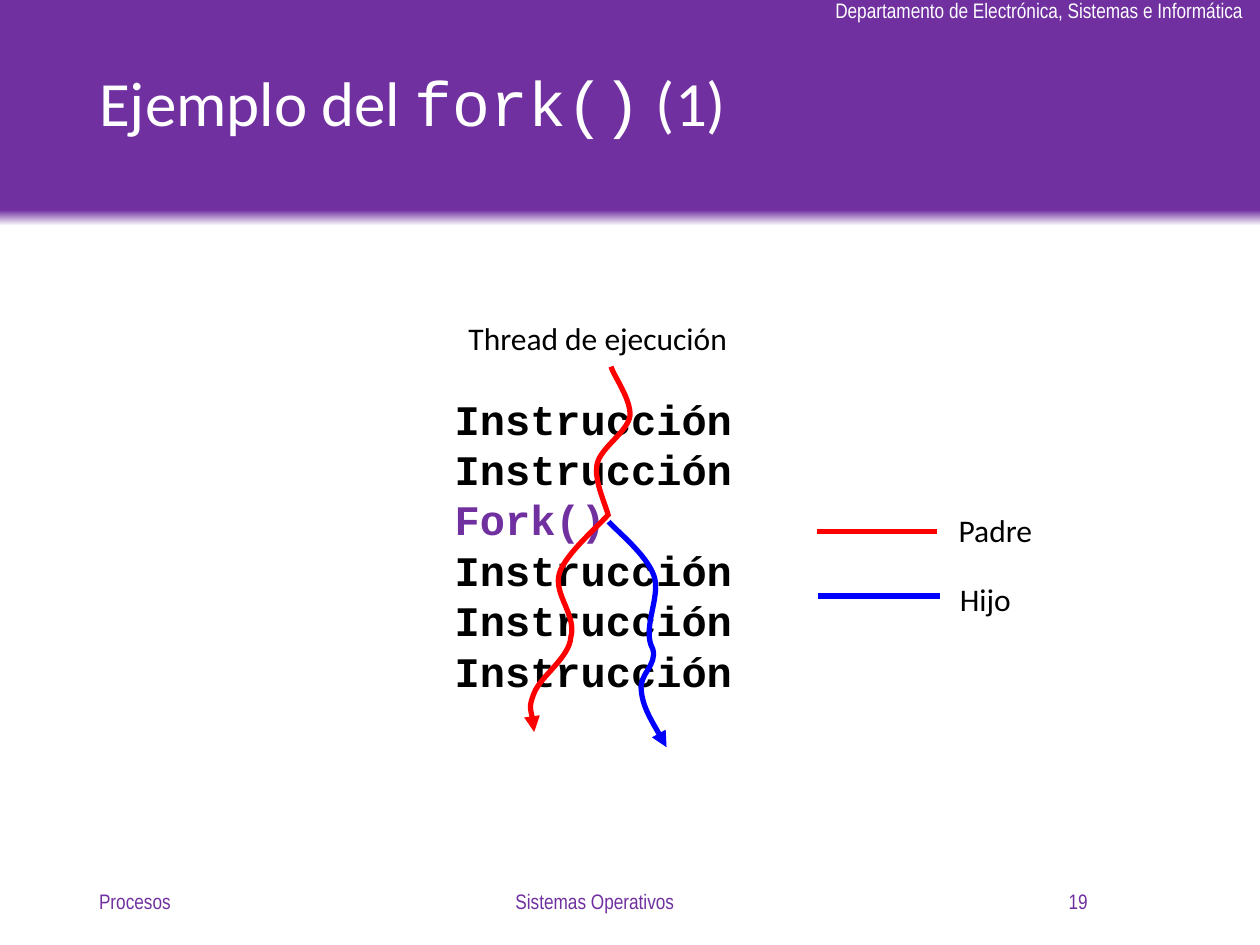
import dataclasses
import typing

import lxml.etree
import copy
import pptx
import pptx.dml.color
import pptx.enum.dml
import pptx.enum.shapes
import pptx.enum.text
import pptx.oxml.ns
import pptx.util

Pt = pptx.util.Pt
qn = pptx.oxml.ns.qn
ALIGN = pptx.enum.text.PP_ALIGN
ANCHOR = pptx.enum.text.MSO_ANCHOR

COLORS = {
    "purple": "7030A0",
    "white": "FFFFFF",
    "black": "000000",
    "parent": "FF0000",
    "child": "0000FF",
}


@dataclasses.dataclass
class Label:
    """A one-line text box, with lengths in points."""
    text: str
    left: float
    top: float
    width: float
    height: float
    font: str = "Calibri"
    size: float = 18
    color: str = "black"
    align: typing.Any = ALIGN.LEFT
    anchor: typing.Any = ANCHOR.TOP
    wrap: bool = False


@dataclasses.dataclass
class Thread:
    """A chain of cubic curves: the start, then three points per curve."""
    color: str
    points: list[tuple[float, float]]
    arrow: bool = True


@dataclasses.dataclass
class LegendLine:
    """A horizontal sample line of the legend."""
    color: str
    left: float
    right: float
    y: float


def rgb(name: str) -> pptx.dml.color.RGBColor:
    """Return a palette colour."""
    return pptx.dml.color.RGBColor.from_string(COLORS[name])


def style(r, font: str, size: float, color: str, bold: bool = False) -> None:
    """Format a run."""
    r.font.name, r.font.size, r.font.bold = font, Pt(size), bold
    r.font.color.rgb = rgb(color)


def add_banner(s) -> None:
    """Draw the header band, fading to white at its lower edge."""
    sp = s.shapes.add_shape(pptx.enum.shapes.MSO_SHAPE.RECTANGLE, 0, 0, Pt(720), Pt(129))
    sp.shadow.inherit = False
    sp.line.fill.background()
    sp.fill.gradient()
    sp.fill.gradient_angle = 90
    stops = sp.fill.gradient_stops
    for stop, color, position in zip(stops, ("white", "purple"), (0, 0.07)):
        stop.color.rgb = rgb(color)
        stop.position = position
    gs_lst = sp.element.find(".//" + qn("a:gsLst"))
    end = copy.deepcopy(gs_lst[-1])
    end.set("pos", "100000")
    gs_lst.append(end)


def add_title(s) -> None:
    """Fill the title placeholder, with the call in a monospaced font."""
    sp = s.shapes.title
    sp.left, sp.top, sp.width, sp.height = Pt(49.5), Pt(10.8), Pt(620.6), Pt(100)
    tf = sp.text_frame
    tf.auto_size = pptx.enum.text.MSO_AUTO_SIZE.NONE
    tf.vertical_anchor = ANCHOR.MIDDLE
    p = tf.paragraphs[0]
    p.alignment, p.line_spacing = ALIGN.LEFT, 0.9
    for text, font in (("Ejemplo del ", "Calibri"), ("fork()", "Courier New"), (" (1)", "Calibri")):
        r = p.add_run()
        r.text = text
        style(r, font, 36, "white")


def add_label(s, label: Label) -> None:
    """Draw a one-line text box."""
    sp = s.shapes.add_textbox(Pt(label.left), Pt(label.top), Pt(label.width), Pt(label.height))
    tf = sp.text_frame
    tf.word_wrap, tf.vertical_anchor = label.wrap, label.anchor
    tf.text = label.text
    p = tf.paragraphs[0]
    p.alignment = label.align
    style(p.runs[0], label.font, label.size, label.color)


def add_code(s, lines: list[str]) -> None:
    """Draw the program, with the fork call highlighted."""
    sp = s.shapes.add_textbox(Pt(252.7), Pt(218.2), Pt(174.2), Pt(211))
    tf = sp.text_frame
    tf.word_wrap, tf.margin_top = False, Pt(6.5)
    tf.text = "\n".join(lines)
    for p in tf.paragraphs:
        p.line_spacing = Pt(28.8)
        style(p.runs[0], "Courier New", 24, "purple" if p.text == "Fork()" else "black", True)


def add_thread(s, thread: Thread) -> None:
    """Draw a curved thread, turning each three points into one curve."""
    points = [(Pt(x), Pt(y)) for x, y in thread.points]
    builder = s.shapes.build_freeform(*points[0])
    builder.add_line_segments(points[1:], close=False)
    sp = builder.convert_to_shape()
    sp.shadow.inherit = False
    sp.fill.background()
    sp.line.color.rgb, sp.line.width = rgb(thread.color), Pt(3)
    outline = sp.element.find(".//" + qn("a:path"))
    segments = outline.findall(qn("a:lnTo"))
    for i in range(0, len(segments), 3):
        curve = lxml.etree.SubElement(outline, qn("a:cubicBezTo"))
        for segment in segments[i:i + 3]:
            curve.append(segment[0])
            outline.remove(segment)
    if thread.arrow:
        ln = sp.element.spPr.find(qn("a:ln"))
        lxml.etree.SubElement(ln, qn("a:tailEnd"), type="triangle")


def add_legend_line(s, item: LegendLine) -> None:
    """Draw a sample line of the legend."""
    line = s.shapes.add_connector(
        pptx.enum.shapes.MSO_CONNECTOR.STRAIGHT,
        Pt(item.left), Pt(item.y), Pt(item.right), Pt(item.y))
    line.line.color.rgb, line.line.width = rgb(item.color), Pt(3)
    lxml.etree.SubElement(line.element.spPr, qn("a:effectLst"))


def footer(text: str, left: float, width: float, align) -> Label:
    """Return a footer label."""
    return Label(text, left, 500.5, width, 28.8, "Arial Narrow", 12, "purple",
                 align, ANCHOR.MIDDLE, True)


LABELS = [
    Label("Departamento de Electrónica, Sistemas e Informática", 470.2, -5, 250.5, 21.6,
          "Arial Narrow", 12, "white"),
    footer("Procesos", 49.5, 162, ALIGN.LEFT),
    footer("Sistemas Operativos", 218.2, 243.4, ALIGN.CENTER),
    footer("19", 466.6, 162, ALIGN.RIGHT),
    Label("Thread de ejecución", 260.6, 178.6, 164.2, 29.5),
    Label("Padre", 540.7, 288.7, 56.9, 29.5),
    Label("Hijo", 541.4, 327.9, 43.9, 29.5),
]

THREADS = [
    Thread("parent", [
        (349.2, 209.5), (350.6, 214.6), (360.7, 228.2), (360, 237.6),
        (358.6, 247), (343.4, 255.6), (341.3, 265),
        (339.1, 274.3), (346.3, 288.7), (347.8, 295.2)], arrow=False),
    Thread("parent", [
        (347.8, 293.8), (343.4, 299.5), (323.3, 316.1), (319.7, 327.6),
        (316.1, 339.8), (329.8, 351.4), (326.2, 364.3),
        (325.4, 375.8), (308.9, 386.6), (305.3, 396),
        (301.7, 404.6), (305.3, 413.3), (305.3, 418.3)]),
    Thread("child", [
        (347.8, 298.1), (352.1, 303.1), (369.4, 316.8), (373.7, 329),
        (378, 340.6), (366.5, 359.3), (373, 370.8),
        (375.8, 380.2), (365, 385.2), (366.5, 394.6),
        (367.2, 403.9), (377.3, 420.5), (380.9, 427)]),
]

LEGEND = [LegendLine("parent", 466.6, 535.7, 303.8), LegendLine("child", 467.3, 537.1, 340.6)]

prs = pptx.Presentation()
prs.slide_width, prs.slide_height = Pt(720), Pt(540)
s = prs.slides.add_slide(prs.slide_layouts[5])
add_banner(s)
s.shapes.element.append(s.shapes.title.element)
add_title(s)
add_code(s, ["Instrucción"] * 2 + ["Fork()"] + ["Instrucción"] * 3)
for thread in THREADS:
    add_thread(s, thread)
for item in LEGEND:
    add_legend_line(s, item)
for label in LABELS:
    add_label(s, label)
prs.save("out.pptx")
